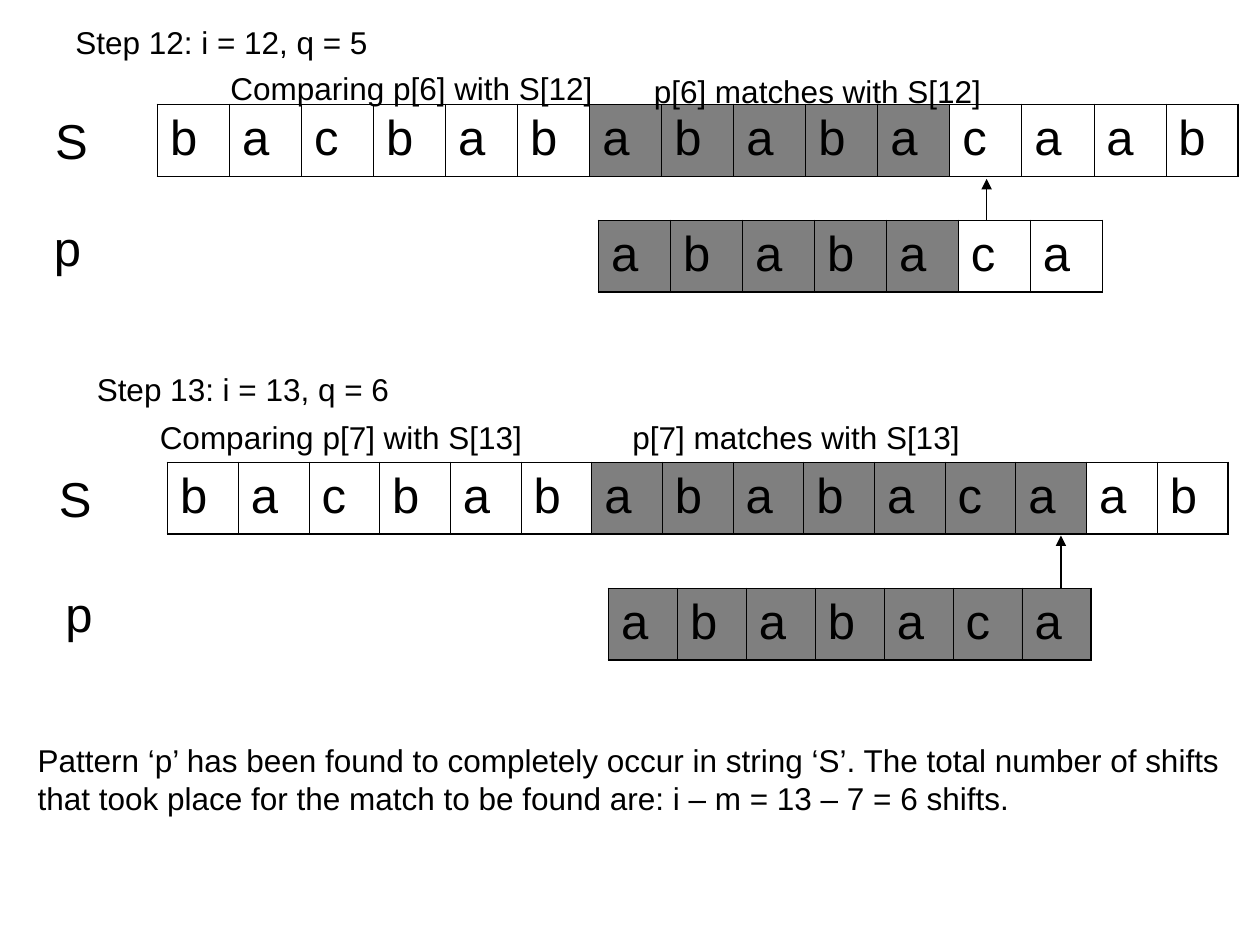
from lxml.etree import SubElement
from pptx import Presentation
from pptx.dml.color import RGBColor
from pptx.enum.shapes import MSO_CONNECTOR
from pptx.enum.text import MSO_AUTO_SIZE
from pptx.oxml.ns import qn
from pptx.util import Inches, Pt

COLORS = {"ink": "000000"}
INK = RGBColor.from_string(COLORS["ink"])
FONT = "Arial"
STRING, PATTERN = "bacbabababacaab", "ababaca"
ROW_H = 0.57
SHIFT = 6

prs = Presentation()
prs.slide_width, prs.slide_height = Inches(10), Inches(7.5)
slide = prs.slides.add_slide(prs.slide_layouts[6])


def add_label(text, x, y, w, h, size=18):
    """Add a non-wrapping text box, one paragraph per line of text."""
    sp = slide.shapes.add_textbox(Inches(x), Inches(y), Inches(w), Inches(h))
    tf = sp.text_frame
    tf.word_wrap = False
    tf.auto_size = MSO_AUTO_SIZE.SHAPE_TO_FIT_TEXT
    tf.text = text
    for p in tf.paragraphs:
        for r in p.runs:
            r.font.name, r.font.size = FONT, Pt(size)
            r.font.color.rgb = INK
    return sp


def add_letters(letters, matched, x, y, w):
    """Add a one-row table of letters, shading the matched positions."""
    frame = slide.shapes.add_table(1, len(letters), Inches(x), Inches(y),
                                   Inches(w), Inches(ROW_H))
    table = frame.table
    table.first_row = table.horz_banding = False
    table.rows[0].height = Inches(ROW_H)
    last = len(letters) - 1
    for i, letter in enumerate(letters):
        table.columns[i].width = Inches(w) // len(letters)
        cell = table.cell(0, i)
        cell.text = letter
        r = cell.text_frame.paragraphs[0].runs[0]
        r.font.name, r.font.size = FONT, Pt(28)
        r.font.color.rgb = INK

        # Borders come before the fill in the cell properties
        tc_pr = cell._tc.get_or_add_tcPr()
        outer = {"lnL": i == 0, "lnR": i == last, "lnT": True, "lnB": True}
        for side, is_outer in outer.items():
            width = Pt(1.08 if is_outer else 0.45)
            ln = SubElement(tc_pr, qn("a:" + side), w=str(width))
            SubElement(SubElement(ln, qn("a:solidFill")), qn("a:srgbClr"), val=COLORS["ink"])
        if i in matched:
            cell.fill.solid()
            cell.fill.fore_color.rgb = INK
            color = tc_pr.find(qn("a:solidFill")).find(qn("a:srgbClr"))
            SubElement(color, qn("a:alpha"), val="50000")
        else:
            cell.fill.background()


# Table: x, y, width; label: x, y; arrow: x, start, end
steps = [
    dict(i=12, matched=5, title=(0.5, 0.17), compare=(1.73, 0.5), result=(5.09, 0.52),
         s_table=(1.25, 0.83, 8.58), p_table=(4.75, 1.75, 4),
         s_label=(0.34, 0.83), p_label=(0.33, 1.68), arrow=(7.83, 1.75, 1.42)),
    dict(i=13, matched=7, title=(0.67, 2.92), compare=(1.17, 3.27), result=(4.92, 3.27),
         s_table=(1.33, 3.67, 8.42), p_table=(4.83, 4.67, 3.83),
         s_label=(0.37, 3.67), p_label=(0.42, 4.58), arrow=(8.42, 4.67, 4.25)),
]

for step in steps:
    i, matched = step["i"], step["matched"]
    q = i - SHIFT - 1
    add_letters(STRING, range(SHIFT, SHIFT + matched), *step["s_table"])
    add_letters(PATTERN, range(matched), *step["p_table"])

    title = add_label(f"Step {i}: i = {i}, q = {q}", *step["title"], 4.5, 0.25)
    title.text_frame.word_wrap = True
    title.text_frame.auto_size = MSO_AUTO_SIZE.NONE
    title.text_frame.paragraphs[0].line_spacing = 0.9

    add_label(f"Comparing p[{q + 1}] with S[{i}]", *step["compare"], 3.1, 0.4)
    add_label(f"p[{q + 1}] matches with S[{i}]", *step["result"], 2.82, 0.4)
    add_label("S", *step["s_label"], 0.46, ROW_H, 28)
    add_label("p", *step["p_label"], 0.41, ROW_H, 28)

    x, start, end = step["arrow"]
    arrow = slide.shapes.add_connector(MSO_CONNECTOR.STRAIGHT, Inches(x), Inches(start),
                                       Inches(x), Inches(end))
    arrow.line.color.rgb = INK
    arrow.line.width = Pt(0.75)
    SubElement(arrow.line._get_or_add_ln(), qn("a:tailEnd"), type="triangle")
    SubElement(arrow._element.spPr, qn("a:effectLst"))

add_label("Pattern ‘p’ has been found to completely occur in string ‘S’. "
          "The total number of shifts\n"
          "that took place for the match to be found are: i – m = 13 – 7 = 6 shifts.",
          0.2, 5.83, 9.66, 0.7)

prs.save("out.pptx")
